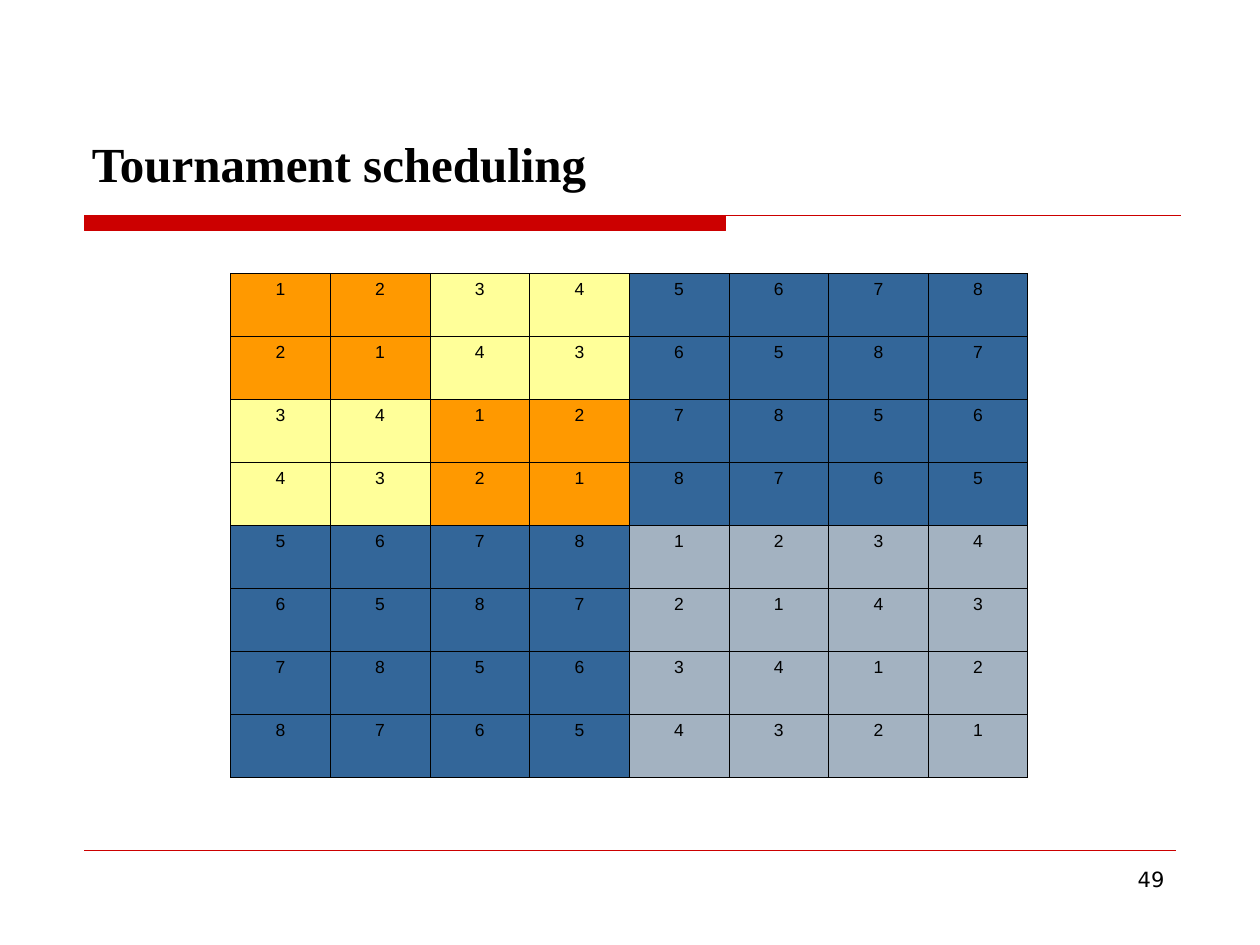
from itertools import product

from lxml.etree import SubElement
from pptx import Presentation
from pptx.dml.color import RGBColor
from pptx.enum.shapes import MSO_CONNECTOR
from pptx.enum.text import MSO_ANCHOR, PP_ALIGN
from pptx.oxml.ns import qn
from pptx.util import Inches, Pt

BLACK, RED = "000000", "CC0000"
ORANGE, YELLOW, BLUE, GRAY = "FF9900", "FFFF99", "336699", "A3B2C1"
PLAYERS = 8


def color(hex_string):
    return RGBColor.from_string(hex_string)


def format_text(paragraph, font_name, size, alignment, bold=False):
    paragraph.alignment = alignment
    for run in paragraph.runs:
        run.font.name = font_name
        run.font.size = Pt(size)
        run.font.bold = bold
        run.font.color.rgb = color(BLACK)


def add_text(slide, text, left, top, width, height, anchor, *text_format):
    box = slide.shapes.add_textbox(
        Inches(left), Inches(top), Inches(width), Inches(height))
    text_frame = box.text_frame
    text_frame.word_wrap = True
    text_frame.vertical_anchor = anchor
    text_frame.text = text
    format_text(text_frame.paragraphs[0], *text_format)


def add_title_rule(slide):
    """Draw the thick bar and the thin line along its top as one shape."""
    left, bar_right, line_right = Inches(0.67), Inches(5.76), Inches(9.37)
    top, bottom = Inches(1.71), Inches(1.83)
    builder = slide.shapes.build_freeform(left, top)
    builder.add_line_segments(
        [(bar_right, top), (bar_right, bottom), (left, bottom)], close=True)
    builder.move_to(left, top)
    builder.add_line_segments([(line_right, top)], close=False)
    shape = builder.convert_to_shape()
    shape.shadow.inherit = False
    shape.fill.solid()
    shape.fill.fore_color.rgb = color(RED)
    shape.line.color.rgb = color(RED)
    shape.line.width = Pt(0.75)


def add_footer_line(slide):
    connector = slide.shapes.add_connector(
        MSO_CONNECTOR.STRAIGHT,
        Inches(0.67), Inches(6.75), Inches(9.33), Inches(6.75))
    connector.line.color.rgb = color(RED)
    connector.line.width = Pt(0.25)
    SubElement(connector._element.spPr, qn("a:effectLst"))


def set_borders(cell, hex_string, width):
    properties = cell._tc.get_or_add_tcPr()
    for index, side in enumerate(("a:lnL", "a:lnR", "a:lnT", "a:lnB")):
        border = properties.makeelement(qn(side), {"w": str(Pt(width))})
        fill = SubElement(border, qn("a:solidFill"))
        SubElement(fill, qn("a:srgbClr"), val=hex_string)
        properties.insert(index, border)


def block_color(row, column):
    """Color a cell by the recursive quadrant it belongs to."""
    half = PLAYERS // 2
    if (row < half) != (column < half):
        return BLUE
    if row >= half:
        return GRAY
    return ORANGE if row // 2 == column // 2 else YELLOW


def add_schedule(slide):
    """Fill the table with the round-robin pattern, row XOR column."""
    frame = slide.shapes.add_table(
        PLAYERS, PLAYERS, Inches(1.83), Inches(2.17), Inches(6.33), Inches(4))
    table = frame.table
    table.first_row = False
    table.horz_banding = False
    for row, column in product(range(PLAYERS), repeat=2):
        cell = table.cell(row, column)
        cell.text_frame.text = str((row ^ column) + 1)
        format_text(cell.text_frame.paragraphs[0], "Arial", 10, PP_ALIGN.CENTER)
        cell.fill.solid()
        cell.fill.fore_color.rgb = color(block_color(row, column))
        set_borders(cell, BLACK, 0.45)


def main():
    presentation = Presentation()
    presentation.slide_width = Inches(10)
    presentation.slide_height = Inches(7.5)
    slide = presentation.slides.add_slide(presentation.slide_layouts[6])
    add_title_rule(slide)
    add_footer_line(slide)
    add_text(slide, "49", 7.17, 6.83, 2.17, 0.52, MSO_ANCHOR.TOP,
             "DejaVu Sans", 12, PP_ALIGN.RIGHT)
    add_text(slide, "Tournament scheduling", 0.63, 0.25, 8.75, 1.33,
             MSO_ANCHOR.BOTTOM, "Times New Roman", 28, PP_ALIGN.LEFT, True)
    add_schedule(slide)
    presentation.save("out.pptx")


if __name__ == "__main__":
    main()
